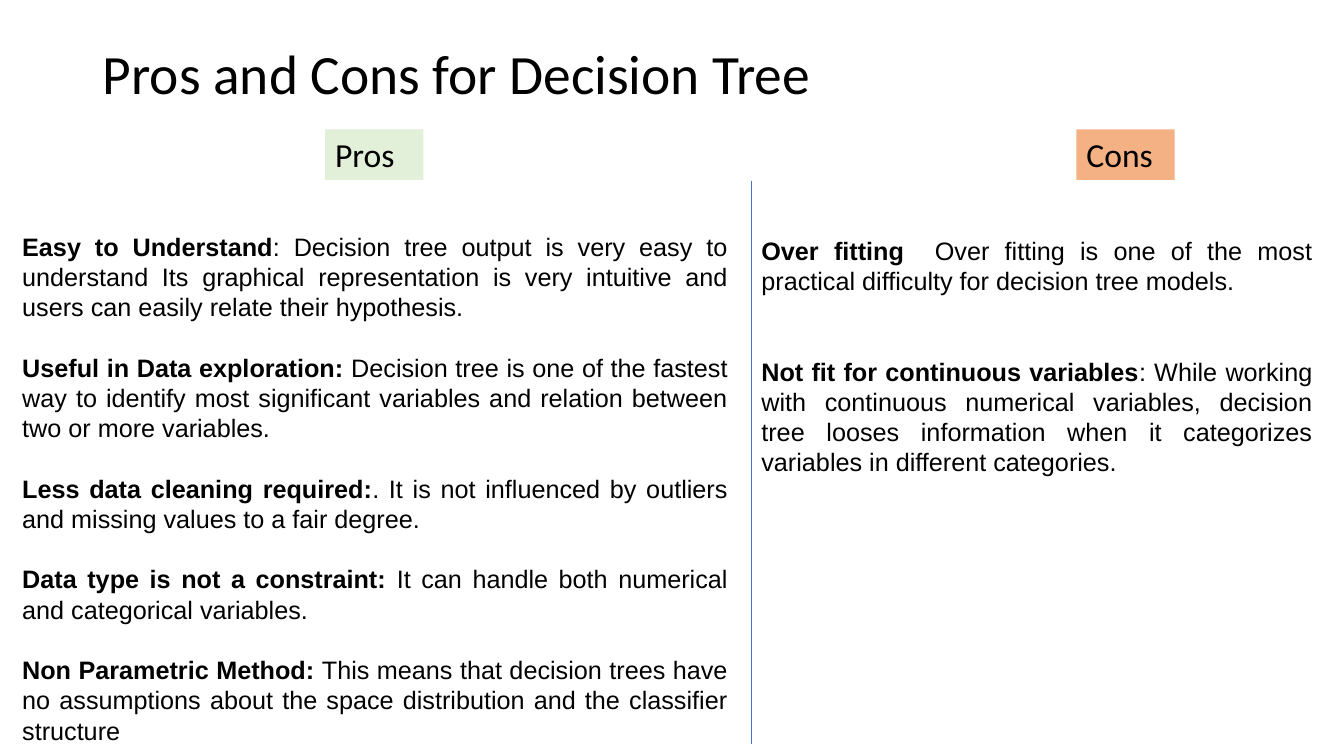
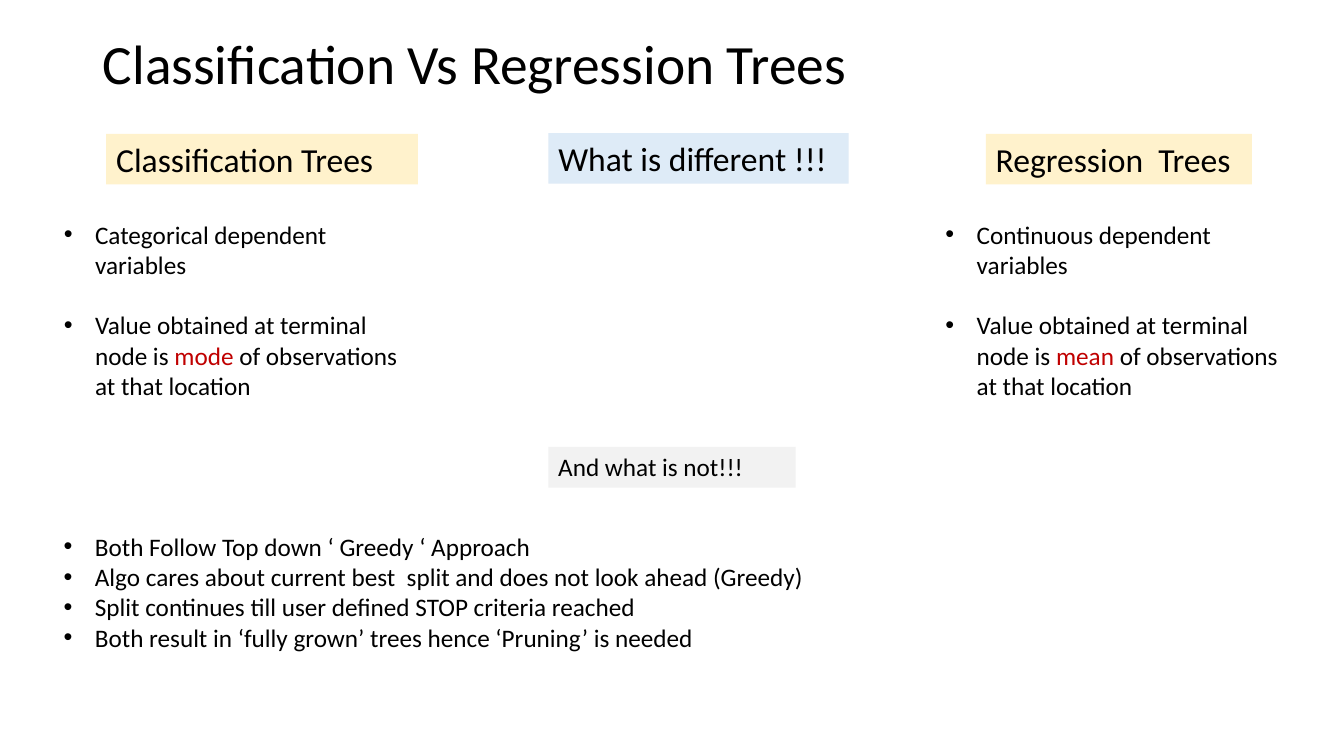
from lxml.etree import SubElement
from pptx import Presentation
from pptx.dml.color import RGBColor
from pptx.enum.shapes import MSO_CONNECTOR
from pptx.enum.text import MSO_ANCHOR, MSO_AUTO_SIZE, PP_ALIGN
from pptx.oxml.ns import qn
from pptx.util import Inches, Pt

rgb = RGBColor.from_string
BLACK, RED, DIVIDER = "000000", "C00000", "4472C4"
GREEN, ORANGE, YELLOW, BLUE, GREY = "E2F0D9", "F4B183", "FFF2CC", "DEEBF7", "F2F2F2"
LINE = 21.6  # height of one line of list text, in points
TWO_CONTENT = 3

deck = Presentation()
deck.slide_width, deck.slide_height = Inches(13.33), Inches(7.5)


def area(left, top, width, height):
    """Turn percentages of the slide's size into lengths."""
    across, down = deck.slide_width / 100, deck.slide_height / 100
    return [round(n) for n in (left * across, top * down, width * across, height * down)]


def write_list(box, items, font, gaps, bullet=False):
    """Write one paragraph per item (a tuple of runs), with gaps blank lines between."""
    frame = box.text_frame
    frame.word_wrap = True
    frame.auto_size = MSO_AUTO_SIZE.NONE
    frame.vertical_anchor = MSO_ANCHOR.TOP
    for number, item in enumerate(items):
        para = frame.add_paragraph() if number else frame.paragraphs[0]
        para.alignment = PP_ALIGN.LEFT if bullet else PP_ALIGN.JUSTIFY
        para.line_spacing = Pt(LINE)
        para.space_before = Pt(0)
        para.space_after = Pt(gaps * LINE if number < len(items) - 1 else 0)
        for text in item:
            span = para.add_run()
            span.text = text
            span.font.name, span.font.size = font, Pt(18)
            span.font.color.rgb = rgb(BLACK)
        props = para._p.get_or_add_pPr()
        indent = Inches(0.31) if bullet else 0
        props.set("marL", str(indent))
        props.set("indent", str(-indent))
        if bullet:
            SubElement(props, qn("a:buFont")).set("typeface", "Arial")
            SubElement(props, qn("a:buChar")).set("char", "•")
        else:
            SubElement(props, qn("a:buNone"))


# Titles and coloured tags: text, fill, text size, area
headings = [
    ("Pros and Cons for Decision Tree", 9.6, [
        ("Pros", GREEN, 24, (24.2, 17.1, 7.3, 6.7)),
        ("Cons", ORANGE, 24, (80.1, 17.1, 7.3, 6.7)),
    ]),
    ("Classification Vs Regression Trees", 7.1, [
        ("Classification Trees", YELLOW, 24, (7.9, 17.7, 23.2, 6.7)),
        ("Regression  Trees", YELLOW, 24, (73.35, 17.7, 19.8, 6.7)),
        ("What is different !!!", BLUE, 24, (40.8, 17.6, 22.35, 6.7)),
        ("And what is not!!!", GREY, 18, (40.8, 59.1, 18.4, 5.4)),
    ]),
]
for heading, title_height, tags in headings:
    page = deck.slides.add_slide(deck.slide_layouts[TWO_CONTENT])
    title = page.shapes.title
    title.left, title.top, title.width, title.height = area(6.9, 5.3, 86.25, title_height)
    title.text_frame.text = heading
    title.text_frame.auto_size = MSO_AUTO_SIZE.NONE
    title.text_frame.vertical_anchor = MSO_ANCHOR.MIDDLE
    para = title.text_frame.paragraphs[0]
    para.alignment, para.line_spacing = PP_ALIGN.LEFT, 0.9
    font = para.runs[0].font
    font.name, font.size, font.color.rgb = "Calibri", Pt(39.6), rgb(BLACK)

    for text, fill, size, place in tags:
        tag = page.shapes.add_textbox(*area(*place))
        tag.fill.solid()
        tag.fill.fore_color.rgb = rgb(fill)
        tag.text_frame.word_wrap = True
        tag.text_frame.text = text
        font = tag.text_frame.paragraphs[0].runs[0].font
        font.name, font.size, font.color.rgb = "Calibri", Pt(size), rgb(BLACK)

pros_cons, tree_types = deck.slides

# Pros and cons
pros = [
    ("Easy to Understand",
     ": Decision tree output is very easy to understand Its graphical representation is "
     "very intuitive and users can easily relate their hypothesis."),
    ("Useful in Data exploration: ",
     "Decision tree is one of the fastest way to identify most significant variables and "
     "relation between two or more variables."),
    ("Less data cleaning required:",
     ". It is not influenced by outliers and missing values to a fair degree. "),
    ("Data type is not a constraint: ",
     "It can handle both numerical and categorical variables. "),
    ("Non Parametric Method: ",
     "This means that decision trees have no assumptions about the space distribution "
     "and the classifier structure"),
]
cons = [
    ("Over fitting  ",
     "Over fitting is one of the most practical difficulty for decision tree models. "),
    ("Not fit for continuous variables",
     ": While working with continuous numerical variables, decision tree looses "
     "information when it categorizes variables in different categories. "),
]
for index, items, gaps, place in [
    (1, pros, 1, (0.9, 29.9, 54, 70.1)),
    (2, cons, 2, (55.9, 30.4, 42.5, 33.3)),
]:
    box = pros_cons.placeholders[index]
    box.left, box.top, box.width, box.height = area(*place)
    write_list(box, items, "Arial", gaps)
    for para in box.text_frame.paragraphs:
        para.runs[0].font.bold = True

left, top, _, height = area(55.9, 23.9, 0, 74.5)
divider = pros_cons.shapes.add_connector(MSO_CONNECTOR.STRAIGHT, left, top, left, top + height)
divider.line.color.rgb = rgb(DIVIDER)
divider.line.width = Pt(0.5)
SubElement(divider._element.spPr, qn("a:effectLst"))

# Classification and regression trees
for index, kind, statistic, left in [
    (1, "Categorical", "mode", 4),
    (2, "Continuous", "mean", 69.6),
]:
    box = tree_types.placeholders[index]
    box.left, box.top, box.width, box.height = area(left, 28.3, 27.1, 25.6)
    write_list(box, [
        (f"{kind} dependent variables",),
        ("Value obtained at terminal node is ", statistic, " of observations at that location"),
    ], "Calibri", 1, bullet=True)
    box.text_frame.paragraphs[1].runs[1].font.color.rgb = rgb(RED)

shared = tree_types.shapes.add_textbox(*area(4, 69.6, 92.8, 17.5))
write_list(shared, [
    ("Both Follow Top down ‘ Greedy ‘ Approach",),
    ("Algo cares about current best  split and does not look ahead (Greedy)",),
    ("Split continues till user defined STOP criteria reached",),
    ("Both result in ‘fully grown’ trees hence ‘Pruning’ is needed",),
], "Calibri", 0, bullet=True)

deck.save("out.pptx")
